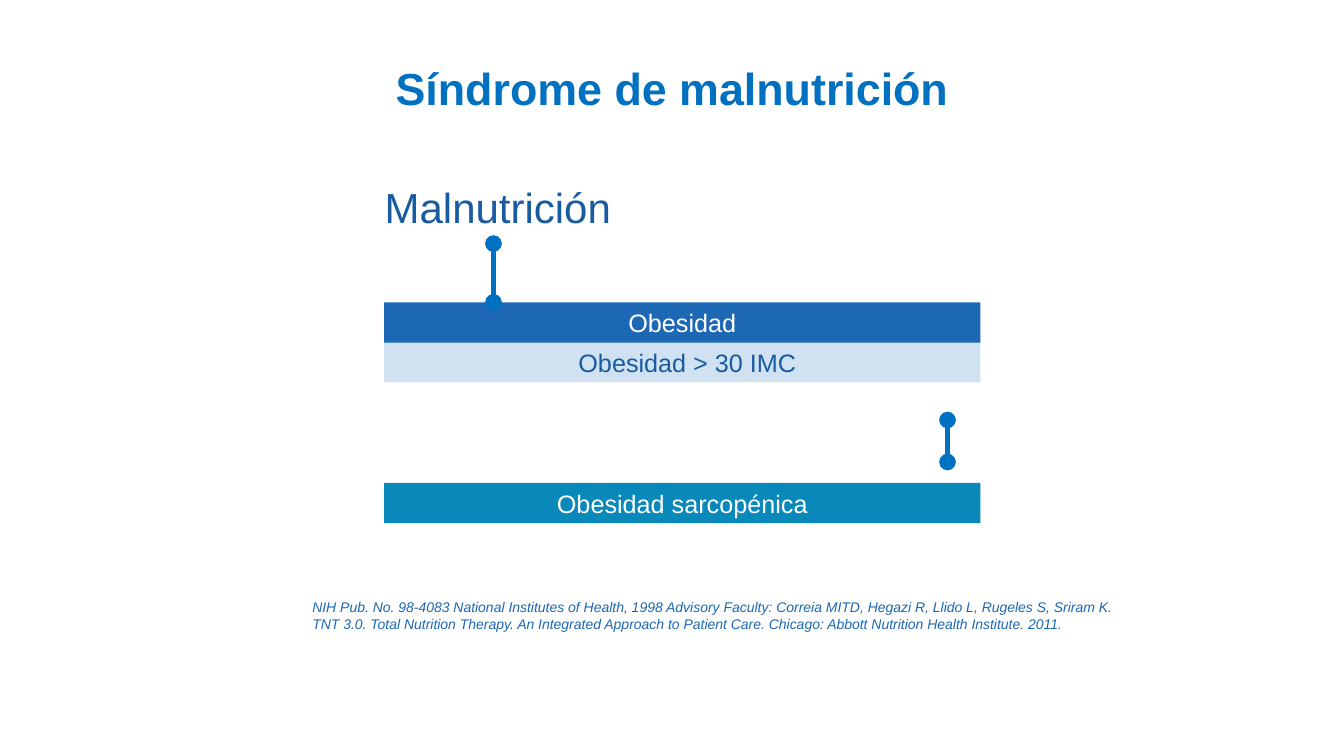
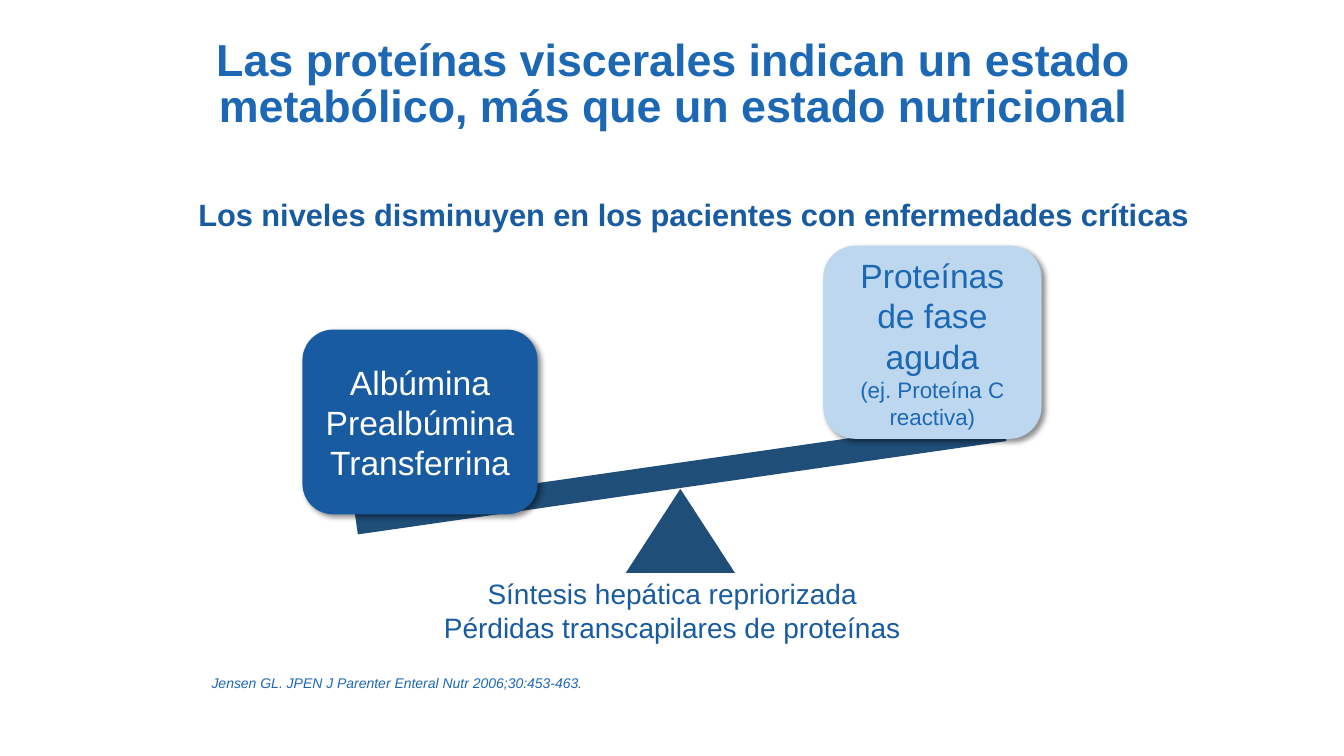
from lxml import etree
from pptx import Presentation
from pptx import util as u
from pptx.dml.color import RGBColor
from pptx.enum import shapes, text
from pptx.oxml.ns import qn

Pt = u.Pt
COLORS = {
    "bright": "0070C0",
    "blue": "1D68B4",
    "deep": "185BA1",
    "navy": "1F4E79",
    "teal": "0988BA",
    "pale": "BDD7EE",
    "grey": "595959",
    "white": "FFFFFF",
    "black": "000000",
}
CENTER, LEFT = text.PP_ALIGN.CENTER, text.PP_ALIGN.LEFT
TOP, MIDDLE = text.MSO_ANCHOR.TOP, text.MSO_ANCHOR.MIDDLE
SHAPE = shapes.MSO_SHAPE


class SlideBuilder:
    """Holds the deck, its style and the slide being filled."""

    font = "Arial"
    title_size = 32
    source_size = 10

    def __init__(self):
        self.deck = Presentation()
        self.deck.slide_width, self.deck.slide_height = Pt(960), Pt(540)
        self.slide = None

    def new_slide(self, title_lines, place, color, spacing):
        self.slide = self.deck.slides.add_slide(self.deck.slide_layouts[5])
        title = self.slide.shapes.title
        title.left, title.top, title.width, title.height = map(Pt, place)
        self.fill_text(title, title_lines, self.title_size, color,
                       anchor=MIDDLE, spacing=spacing, bold=True)

    def fill_text(self, box, lines, size, color, align=CENTER, anchor=TOP,
                  spacing=None, indent=0, bold=False, italic=False):
        """Fill a box; a line is a string or a list of (text, changes) spans."""
        frame = box.text_frame
        frame.word_wrap = True
        frame.auto_size = text.MSO_AUTO_SIZE.NONE
        frame.vertical_anchor = anchor
        for number, line in enumerate(lines):
            para = frame.add_paragraph() if number else frame.paragraphs[0]
            para.alignment = align
            if spacing:
                para.line_spacing = spacing
            if indent:
                para._p.get_or_add_pPr().set("marL", str(Pt(indent)))
            for words, changes in [(line, {})] if isinstance(line, str) else line:
                span = para.add_run()
                span.text = words
                span.font.name = self.font
                span.font.size = Pt(changes.get("size", size))
                span.font.bold, span.font.italic = bold, italic
                name = changes.get("color", color)
                span.font.color.rgb = RGBColor.from_string(COLORS[name])

    def text_box(self, place, lines, size, color, **style):
        box = self.slide.shapes.add_textbox(*map(Pt, place))
        self.fill_text(box, lines, size, color, **style)

    def source(self, place, line, **style):
        self.text_box(place, [line], self.source_size, "blue", align=LEFT,
                      italic=True, **style)

    def shape(self, kind, place, fill, alpha=None):
        shape = self.slide.shapes.add_shape(kind, *map(Pt, place))
        shape.shadow.inherit = False
        shape.line.fill.background()
        shape.fill.solid()
        shape.fill.fore_color.rgb = RGBColor.from_string(COLORS[fill])
        if alpha:
            tint = shape._element.spPr.find(".//" + qn("a:srgbClr"))
            etree.SubElement(tint, qn("a:alpha"), val=str(alpha * 1000))
        return shape

    def bar(self, place, words, fill, color, alpha=None, indent=0):
        bar = self.shape(SHAPE.RECTANGLE, place, fill, alpha)
        self.fill_text(bar, [words], 18, color, indent=indent)

    def card(self, place, lines, fill, color):
        """Rounded box with a soft shadow to the lower right."""
        card = self.shape(SHAPE.ROUNDED_RECTANGLE, place, fill)
        effects = card._element.spPr.find(qn("a:effectLst"))
        shadow = etree.SubElement(
            effects, qn("a:outerShdw"), blurRad=str(Pt(4)), dist=str(Pt(3)),
            dir=str(45 * 60000), algn="tl", rotWithShape="0")
        tint = etree.SubElement(shadow, qn("a:srgbClr"), val=COLORS["black"])
        etree.SubElement(tint, qn("a:alpha"), val="43000")
        self.fill_text(card, lines, 24, color, anchor=MIDDLE)

    def dumbbell(self, x, top, bottom):
        """Vertical line with a round dot at each end."""
        line = self.slide.shapes.add_connector(
            shapes.MSO_CONNECTOR.STRAIGHT, Pt(x), Pt(top), Pt(x), Pt(bottom))
        line.line.width = Pt(4)
        line.line.color.rgb = RGBColor.from_string(COLORS["bright"])
        outline = line._element.spPr.find(qn("a:ln"))
        for end in ("a:headEnd", "a:tailEnd"):
            etree.SubElement(outline, qn(end), type="oval")
        etree.SubElement(line._element.spPr, qn("a:effectLst"))


def malnutrition_slide(builder):
    builder.new_slide(["Síndrome de malnutrición"], (175.7, 28.8, 609, 72),
                      "bright", 0.9)
    builder.text_box((229.7, 126, 252, 44), ["Malnutrición"], 30, "deep")
    left, width, height = 274.4, 426, 28.8
    obesity_top = 216
    builder.bar((left, obesity_top + height - 0.5, width, height),
                "Obesidad > 30 IMC", "pale", "deep", alpha=71, indent=7.2)
    builder.bar((left, obesity_top, width, height), "Obesidad", "blue", "white")
    builder.bar((left, 345, width, height), "Obesidad sarcopénica", "teal",
                "white")
    builder.dumbbell(676.8, 300, 330)
    builder.dumbbell(352.5, 174, obesity_top)
    builder.source(
        (216, 424, 594, 44),
        "NIH Pub. No. 98-4083 National Institutes of Health, 1998 Advisory "
        "Faculty: Correia MITD, Hegazi R, Llido L, Rugeles S, Sriram K. "
        "TNT 3.0. Total Nutrition Therapy. An Integrated Approach to Patient "
        "Care. Chicago: Abbott Nutrition Health Institute. 2011.")


def protein_slide(builder):
    builder.new_slide(["Las proteínas viscerales indican un estado",
                       "metabólico, más que un estado nutricional"],
                      (138.2, -1.4, 686, 125.3), "blue", Pt(32.4))
    builder.text_box(
        (94.3, 134, 772, 66),
        ["Los niveles disminuyen en los pacientes con enfermedades críticas"],
        22, "deep", align=LEFT, spacing=Pt(28.8), indent=40.3, bold=True)
    builder.text_box((302.4, 408.2, 355.7, 55.4),
                     ["Síntesis hepática repriorizada",
                      "Pérdidas transcapilares de proteínas"], 20, "deep")
    builder.shape(SHAPE.ISOSCELES_TRIANGLE, (447, 349.2, 78, 60), "navy")
    beam = builder.shape(SHAPE.RECTANGLE, (252, 330.5, 468, 18), "navy")
    beam.rotation = -8.2
    builder.card((216, 235.4, 168, 132),
                 ["Albúmina", "Prealbúmina", "Transferrina"], "deep", "white")
    small = {"size": 16}
    builder.card((588, 175.5, 156, 138),
                 ["Proteínas de fase aguda", [("(ej. Proteína C", small)],
                  [("reactiva)", small)]], "pale", "blue")
    builder.source((144, 479.5, 398, 18),
                   [("Jensen GL. JPEN J Parenter Enteral Nutr 2006;30:453-463", {}),
                    (".", {"color": "grey"})], spacing=0.9)


def main():
    builder = SlideBuilder()
    malnutrition_slide(builder)
    protein_slide(builder)
    builder.deck.save("out.pptx")


if __name__ == "__main__":
    main()
